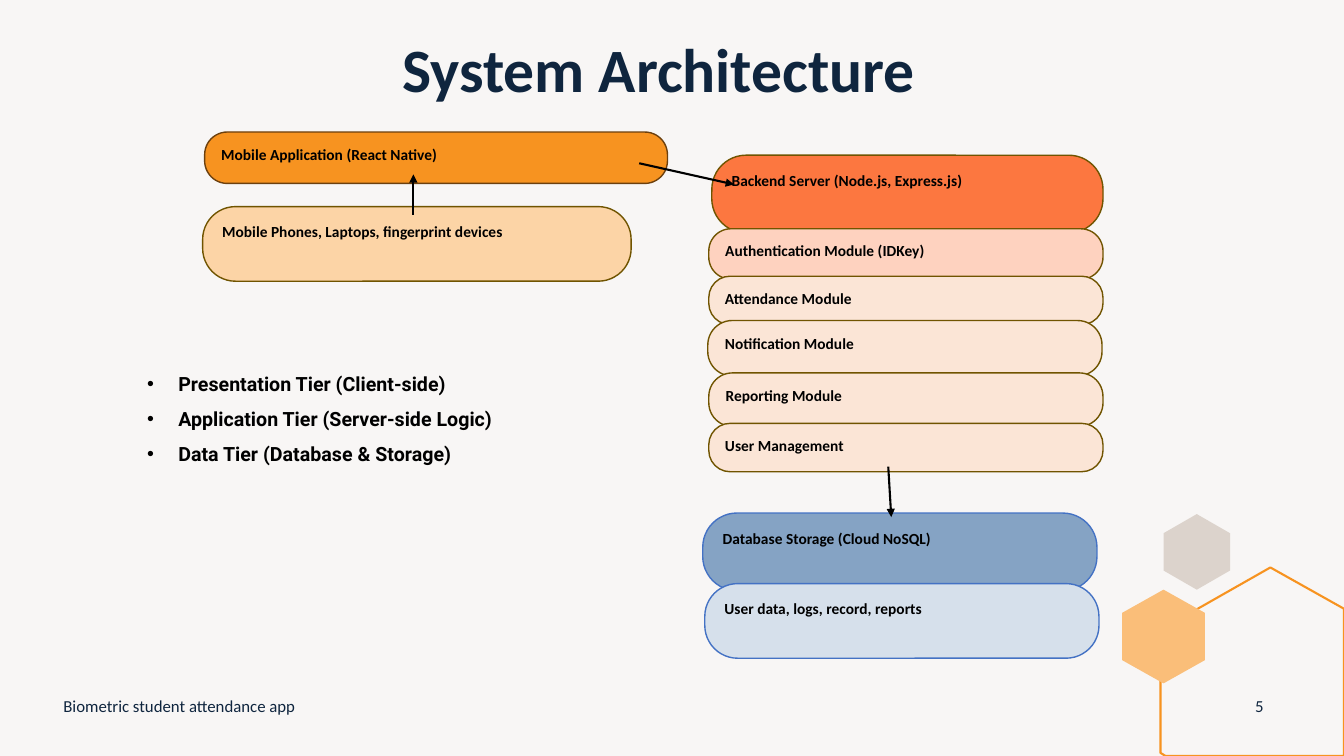
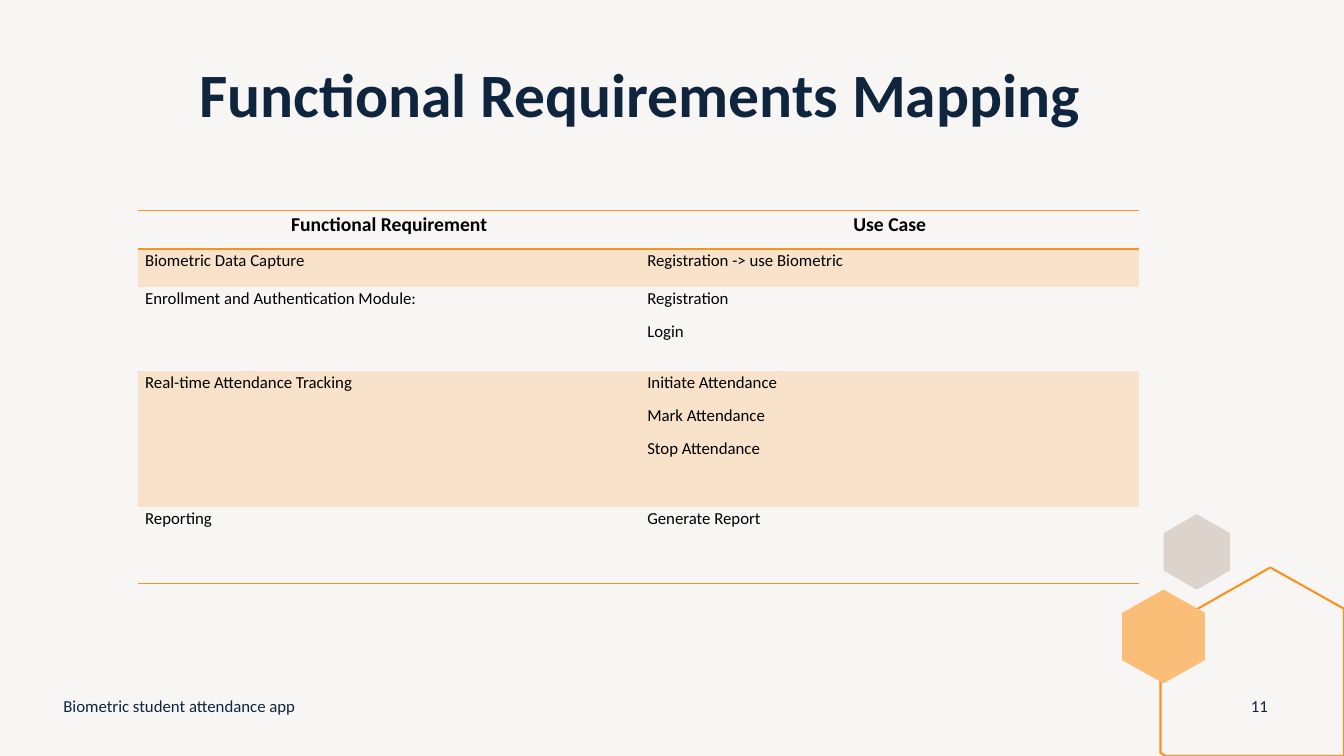
"""Build two slides on the architecture and requirements of an attendance app."""

from typing import NamedTuple

from lxml.etree import SubElement
from pptx import Presentation
from pptx.dml.color import RGBColor
from pptx.enum.shapes import MSO_CONNECTOR, MSO_SHAPE
from pptx.enum.text import MSO_ANCHOR, PP_ALIGN
from pptx.oxml.ns import qn
from pptx.presentation import Presentation as Deck
from pptx.shapes.autoshape import Shape
from pptx.slide import Slide
from pptx.table import _Cell as Cell
from pptx.text.text import TextFrame
from pptx.util import Emu, Pt

EMU_PER_PX = 9144
PAGE_WIDTH, PAGE_HEIGHT = 1333, 750
PLAIN_TABLE_STYLE = "{2D5ABB26-0587-4C30-8999-92F81FD0307C}"

PAPER = "F8F6F5"
NAVY = "0F253E"
BLACK = "000000"
ORANGE = "F79320"
LIGHT_ORANGE = "FABE79"
STONE = "DCD3CC"
BAND = "F8E2CA"
BROWN = "6C400E"
OLIVE = "705400"
BLUE = "4472C4"
MODULE_FILL = "FBE5D6"


class Area(NamedTuple):
    left: int
    top: int
    width: int
    height: int


class Block(NamedTuple):
    text: str
    area: Area
    fill: str
    line: str = OLIVE


class Arrow(NamedTuple):
    start: tuple[int, int]
    end: tuple[int, int]


class Outline(NamedTuple):
    points: list[tuple[int, int]]
    fill: str | None = None
    line: str | None = None


class Row(NamedTuple):
    requirement: str
    use_case: str
    height: int


OUTLINES = [
    Outline([(1187, 510), (1220, 529), (1220, 566), (1187, 585), (1154, 566), (1154, 529)], fill=STONE),
    Outline([(1260, 563), (1333, 604), (1333, 750), (1156, 750), (1151, 747), (1151, 625)], line=ORANGE),
    Outline([(1154, 585), (1195, 608), (1195, 655), (1154, 678), (1113, 655), (1113, 608)], fill=LIGHT_ORANGE),
]

BLOCKS = [
    Block("Mobile Application (React Native)", Area(203, 131, 459, 51), ORANGE, BROWN),
    Block("Mobile Phones, Laptops, fingerprint devices", Area(201, 205, 425, 74), "FCD4A6"),
    Block("Backend Server (Node.js, Express.js)", Area(706, 154, 388, 77), "FC7740"),
    Block("Authentication Module (IDKey)", Area(703, 227, 391, 50), "FED2BF"),
    Block("Attendance Module", Area(703, 274, 391, 48), MODULE_FILL),
    Block("Notification Module", Area(702, 318, 391, 55), MODULE_FILL),
    Block("Reporting Module", Area(703, 370, 391, 53), MODULE_FILL),
    Block("User Management", Area(703, 420, 391, 48), MODULE_FILL),
    Block("Database Storage (Cloud NoSQL)", Area(697, 509, 391, 77), "85A3C4", BLUE),
    Block("User data, logs, record, reports", Area(699, 579, 391, 74), "D6E0EB", BLUE),
]

ARROWS = [
    Arrow((634, 162), (728, 183)),
    Arrow((410, 213), (410, 173)),
    Arrow((881, 463), (884, 513)),
]

TIERS = "Presentation Tier (Client-side)\nApplication Tier (Server-side Logic)\nData Tier (Database & Storage)"

COLUMN_WIDTHS = [498, 495]
ROWS = [
    Row("Functional Requirement", "Use Case", 38),
    Row("Biometric Data Capture", "Registration -> use Biometric", 38),
    Row("Enrollment and Authentication Module:", "Registration\nLogin", 83),
    Row("Real-time Attendance Tracking", "Initiate Attendance\nMark Attendance\nStop Attendance", 135),
    Row("Reporting", "Generate Report", 76),
]


def px(length: int) -> Emu:
    """Turn a length in px into EMU."""
    return Emu(length * EMU_PER_PX)


def color(value: str) -> RGBColor:
    """Turn a hex string into a colour."""
    return RGBColor.from_string(value)


def write_text(
    frame: TextFrame,
    text: str,
    *,
    size: int = 12,
    hue: str = BLACK,
    bold: bool = False,
    font: str = "Calibri",
    align: PP_ALIGN = PP_ALIGN.LEFT,
    spacing: float = 1.0,
    after: int = 0,
    bullet_indent: int = 0,
) -> None:
    """Write each line of the text as one formatted paragraph."""
    for index, line in enumerate(text.split("\n")):
        para = frame.add_paragraph() if index else frame.paragraphs[0]
        para.alignment = align
        para.line_spacing = spacing
        para.space_after = Pt(after)
        if bullet_indent:
            properties = para._p.get_or_add_pPr()
            properties.set("marL", str(px(bullet_indent)))
            properties.set("indent", str(-px(bullet_indent)))
            SubElement(properties, qn("a:buFont"), typeface="Arial")
            SubElement(properties, qn("a:buChar"), char="•")
        span = para.add_run()
        span.text = line
        span.font.name = font
        span.font.size = Pt(size)
        span.font.bold = bold
        span.font.color.rgb = color(hue)


def add_text(page: Slide, area: Area, text: str, anchor: MSO_ANCHOR = MSO_ANCHOR.MIDDLE, **text_format) -> None:
    """Place a wrapped text box on the page."""
    box = page.shapes.add_textbox(*map(px, area))
    box.text_frame.word_wrap = True
    box.text_frame.vertical_anchor = anchor
    write_text(box.text_frame, text, **text_format)


def add_title(page: Slide, area: Area, text: str, **text_format) -> None:
    """Place the page title in the shared title style."""
    add_text(page, area, text, size=44, hue=NAVY, bold=True, spacing=0.9, **text_format)


def paint(shape: Shape, fill: str | None, line: str | None, line_width: float) -> None:
    """Set the fill and line of a shape and drop its shadow."""
    shape.shadow.inherit = False
    if fill:
        shape.fill.solid()
        shape.fill.fore_color.rgb = color(fill)
    else:
        shape.fill.background()
    if line:
        shape.line.color.rgb = color(line)
        shape.line.width = Pt(line_width)
    else:
        shape.line.fill.background()


def add_outline(page: Slide, outline: Outline) -> None:
    """Draw one closed polygon."""
    start, *others = outline.points
    builder = page.shapes.build_freeform(*start, scale=EMU_PER_PX)
    builder.add_line_segments(others, close=True)
    paint(builder.convert_to_shape(), outline.fill, outline.line, 1.5)


def add_block(page: Slide, block: Block) -> None:
    """Draw one labelled rounded block of the architecture."""
    box = page.shapes.add_shape(MSO_SHAPE.ROUNDED_RECTANGLE, *map(px, block.area))
    box.adjustments[0] = 0.44
    paint(box, block.fill, block.line, 1)
    box.text_frame.word_wrap = True
    box.text_frame.vertical_anchor = MSO_ANCHOR.TOP
    write_text(box.text_frame, block.text, size=11, bold=True, spacing=1.07, after=8)


def add_arrow(page: Slide, arrow: Arrow) -> None:
    """Draw one straight arrow."""
    connector = page.shapes.add_connector(MSO_CONNECTOR.STRAIGHT, *map(px, arrow.start + arrow.end))
    connector.line.color.rgb = color(BLACK)
    connector.line.width = Pt(1.5)
    properties = connector._element.spPr
    SubElement(properties.find(qn("a:ln")), qn("a:tailEnd"), type="triangle")
    SubElement(properties, qn("a:effectLst"))


def add_border(cell: Cell, side: str) -> None:
    """Draw an orange rule on one side of a cell."""
    border = SubElement(cell._tc.get_or_add_tcPr(), qn(f"a:{side}"), w=str(Pt(1)))
    fill = SubElement(border, qn("a:solidFill"))
    SubElement(fill, qn("a:srgbClr"), val=ORANGE)


def format_cell(cell: Cell, text: str, row_index: int) -> None:
    """Write one cell and set its rules and band by its row."""
    is_header = row_index == 0
    cell.margin_left = cell.margin_right = px(7)
    cell.margin_top = cell.margin_bottom = px(0)
    cell.vertical_anchor = MSO_ANCHOR.TOP
    if is_header:
        add_border(cell, "lnT")
    if is_header or row_index == len(ROWS) - 1:
        add_border(cell, "lnB")
    if row_index % 2:
        cell.fill.solid()
        cell.fill.fore_color.rgb = color(BAND)
    else:
        cell.fill.background()
    write_text(
        cell.text_frame,
        text,
        size=14 if is_header else 12,
        bold=is_header,
        align=PP_ALIGN.CENTER if is_header else PP_ALIGN.LEFT,
        spacing=1.07,
        after=8,
    )


def add_requirements_table(page: Slide, left: int, top: int) -> None:
    """Draw the table that maps requirements to use cases."""
    area = Area(left, top, sum(COLUMN_WIDTHS), sum(row.height for row in ROWS))
    table = page.shapes.add_table(len(ROWS), len(COLUMN_WIDTHS), *map(px, area)).table
    table.first_row = table.horz_banding = False
    table._tbl.tblPr.find(qn("a:tableStyleId")).text = PLAIN_TABLE_STYLE
    for column, width in zip(table.columns, COLUMN_WIDTHS):
        column.width = px(width)
    for row_index, row in enumerate(ROWS):
        table.rows[row_index].height = px(row.height)
        for column_index, text in enumerate((row.requirement, row.use_case)):
            format_cell(table.cell(row_index, column_index), text, row_index)


def add_page(deck: Deck, number: int) -> Slide:
    """Add a blank page with the shared hexagons and footer."""
    page = deck.slides.add_slide(deck.slide_layouts[6])
    page.background.fill.solid()
    page.background.fill.fore_color.rgb = color(PAPER)
    for outline in OUTLINES:
        add_outline(page, outline)
    add_text(page, Area(53, 680, 450, 40), "Biometric student attendance app", hue=NAVY)
    add_text(page, Area(1224, 680, 50, 40), str(number), hue=NAVY, align=PP_ALIGN.CENTER)
    return page


def add_architecture_page(deck: Deck) -> None:
    """Add the page with the block diagram."""
    page = add_page(deck, 5)
    add_title(page, Area(389, 34, 743, 155), "System Architecture", anchor=MSO_ANCHOR.TOP)
    for block in BLOCKS:
        add_block(page, block)
    for arrow in ARROWS:
        add_arrow(page, arrow)
    add_text(
        page, Area(136, 352, 398, 112), TIERS, anchor=MSO_ANCHOR.TOP,
        size=14, bold=True, font="Roboto", spacing=1.5, bullet_indent=31,
    )


def add_requirements_page(deck: Deck) -> None:
    """Add the page with the requirements table."""
    page = add_page(deck, 11)
    add_title(page, Area(60, 31, 1150, 132), "Functional Requirements Mapping", align=PP_ALIGN.CENTER)
    add_requirements_table(page, 137, 209)


def main() -> None:
    """Build and save the deck."""
    deck = Presentation()
    deck.slide_width, deck.slide_height = px(PAGE_WIDTH), px(PAGE_HEIGHT)
    add_architecture_page(deck)
    add_requirements_page(deck)
    deck.save("out.pptx")


if __name__ == "__main__":
    main()
